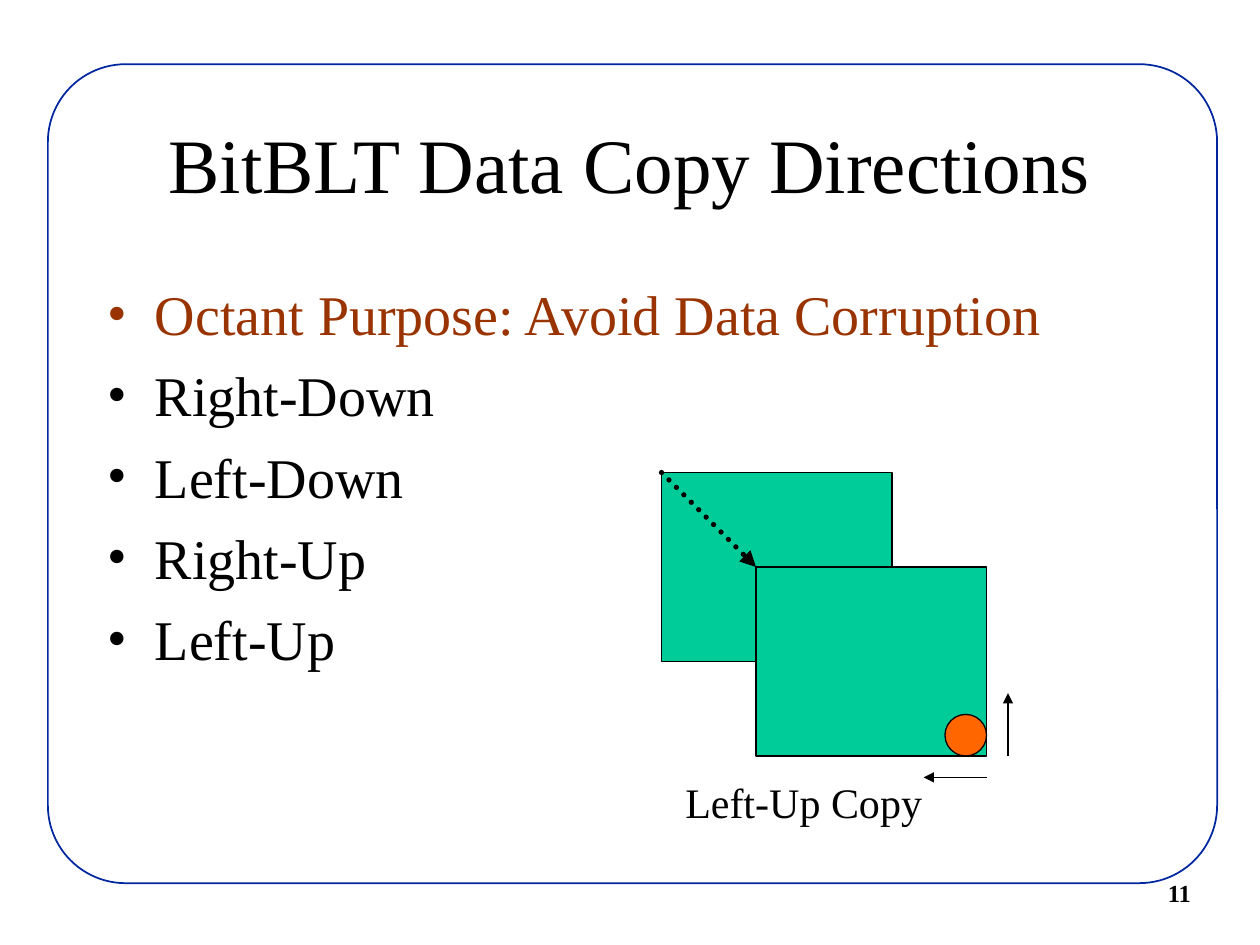
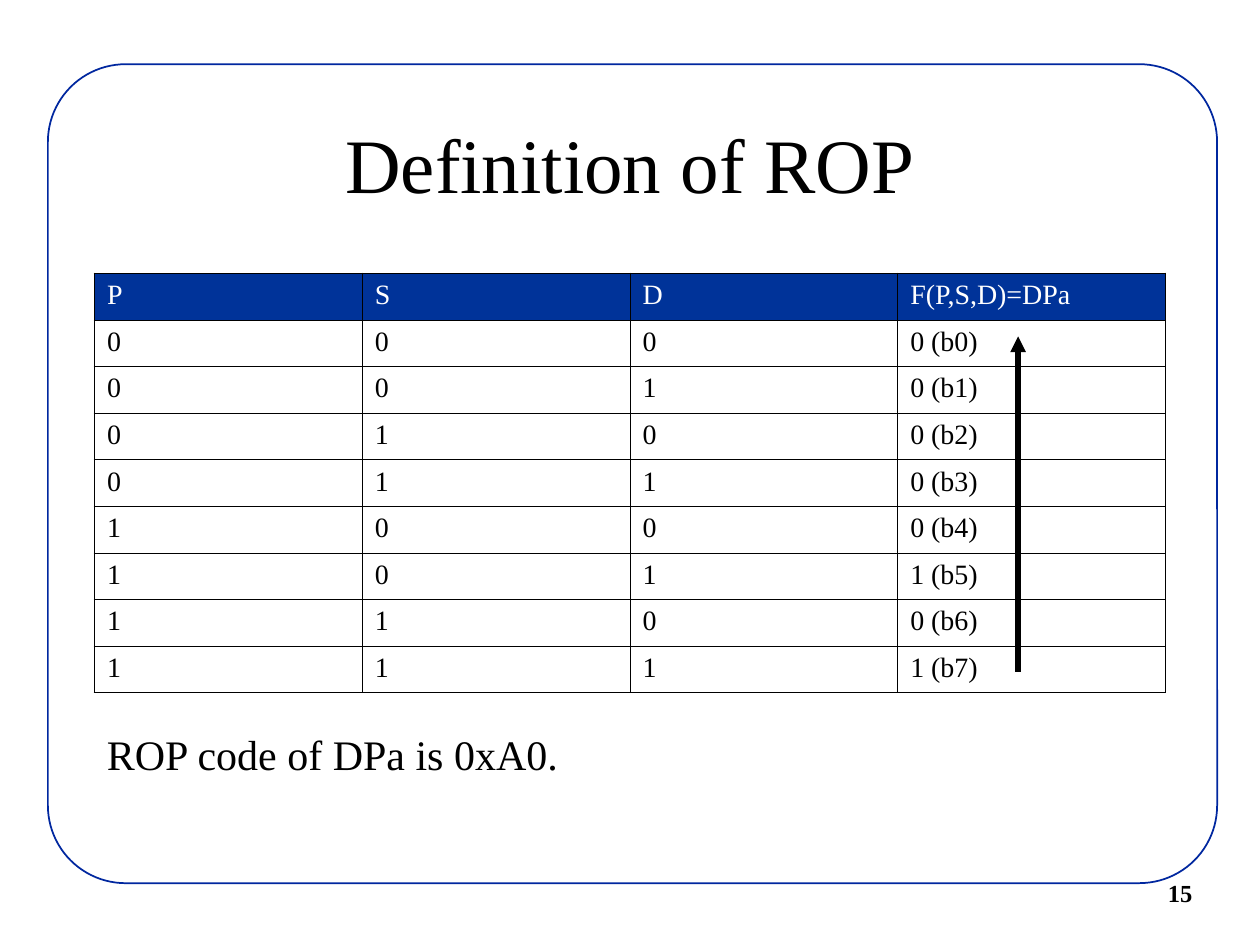
"""Build two slides on BitBLT copy directions and the definition of ROP."""
from lxml.etree import SubElement
from pptx import Presentation
from pptx.dml.color import RGBColor
from pptx.enum.dml import MSO_LINE
from pptx.enum.shapes import MSO_CONNECTOR, MSO_SHAPE
from pptx.enum.text import MSO_ANCHOR, MSO_AUTO_SIZE as AutoSize, PP_ALIGN
from pptx.oxml.ns import qn
from pptx.util import Inches, Pt

FONT = "Times New Roman"
BLACK, WHITE = "000000", "FFFFFF"
FRAME_BLUE, HEADER_BLUE = "00279F", "003399"
GREEN, ORANGE, RUST = "00CC99", "FF6600", "993300"
THIN, THICK = 0.75, 3

DIRECTIONS = ["Right-Down", "Left-Down", "Right-Up", "Left-Up"]


def rgb(color):
    return RGBColor.from_string(color)


def box(left, top, width, height):
    return [Inches(length) for length in (left, top, width, height)]


def place(shape, left, top, width, height):
    shape.left, shape.top, shape.width, shape.height = box(left, top, width, height)


def style_paragraph(paragraph, size, color=BLACK, bold=False):
    font = paragraph.font
    font.name, font.size, font.bold = FONT, Pt(size), bold
    font.color.rgb = rgb(color)


def add_outlined(shapes, preset, bounds, fill, line, width=THIN):
    shape = shapes.add_shape(preset, *box(*bounds))
    shape.shadow.inherit = False
    shape.fill.solid()
    shape.fill.fore_color.rgb = rgb(fill)
    shape.line.color.rgb = rgb(line)
    shape.line.width = Pt(width)
    return shape


def add_arrow(shapes, start, end, width=THIN, dotted=False):
    ends = [Inches(length) for length in (*start, *end)]
    arrow = shapes.add_connector(MSO_CONNECTOR.STRAIGHT, *ends)
    arrow.line.color.rgb = rgb(BLACK)
    arrow.line.width = Pt(width)
    outline = arrow.line._get_or_add_ln()
    if dotted:
        arrow.line.dash_style = MSO_LINE.ROUND_DOT
        outline.set("cap", "rnd")
    SubElement(outline, qn("a:tailEnd"), type="triangle")
    SubElement(arrow.element.spPr, qn("a:effectLst"))


def add_label(shapes, text, bounds, size, bold=False):
    frame = shapes.add_textbox(*box(*bounds)).text_frame
    frame.word_wrap = False
    frame.auto_size = AutoSize.SHAPE_TO_FIT_TEXT
    frame.text = text
    style_paragraph(frame.paragraphs[0], size, bold=bold)


def add_framed_slide(deck, layout, title, number):
    slide = deck.slides.add_slide(deck.slide_layouts.get_by_name(layout))
    border = add_outlined(slide.shapes, MSO_SHAPE.ROUNDED_RECTANGLE,
                          (0.38, 0.51, 9.28, 6.5), WHITE, FRAME_BLUE, 1)
    border.adjustments[0] = 0.095
    border.element.getparent().insert(2, border.element)

    heading = slide.shapes.title
    place(heading, 0.75, 0.67, 8.5, 1.25)
    heading.text_frame.text = title
    heading.text_frame.auto_size = AutoSize.NONE
    heading.text_frame.vertical_anchor = MSO_ANCHOR.MIDDLE
    heading.text_frame.paragraphs[0].alignment = PP_ALIGN.CENTER
    style_paragraph(heading.text_frame.paragraphs[0], 44)

    add_label(slide.shapes, str(number), (9.17, 6.92, 1.08, 0.33), 14, bold=True)
    return slide


def fill_bullets(body, items):
    place(body, 0.75, 2.17, 8.5, 4.5)
    frame = body.text_frame
    frame.auto_size = AutoSize.NONE
    frame.text = "\n".join(text for text, _ in items)
    for index, (paragraph, (_, color)) in enumerate(zip(frame.paragraphs, items)):
        paragraph.space_before = Pt(8 if index else 0)
        props = paragraph._p.get_or_add_pPr()
        props.set("marL", str(Inches(0.38)))
        props.set("indent", str(Inches(-0.38)))
        bullet_color = SubElement(props, qn("a:buClr"))
        SubElement(bullet_color, qn("a:srgbClr"), val=color)
        SubElement(props, qn("a:buFont"), typeface=FONT)
        SubElement(props, qn("a:buChar"), char="•")
        style_paragraph(paragraph, 32, color)


def add_copy_diagram(slide):
    diagram = slide.shapes.add_group_shape().shapes
    source, target = (5.25, 3.75), (6, 4.5)
    for corner in (source, target):
        add_outlined(diagram, MSO_SHAPE.RECTANGLE, (*corner, 1.83, 1.5), GREEN, BLACK)
    add_arrow(diagram, source, target, THICK, dotted=True)
    add_label(diagram, "Left-Up Copy", (5.34, 6.11, 2.08, 0.5), 24)
    add_arrow(diagram, (7.83, 6.17), (7.33, 6.17))
    add_arrow(diagram, (8, 6), (8, 5.5))
    add_outlined(diagram, MSO_SHAPE.OVAL, (7.5, 5.67, 0.33, 0.33), ORANGE, BLACK)


def set_borders(cell, outer_sides):
    props = cell._tc.get_or_add_tcPr()
    for index, side in enumerate("LRTB"):
        width = Pt(1.08 if side in outer_sides else 0.45)
        border = props.makeelement(qn(f"a:ln{side}"), {"w": str(width)})
        fill = SubElement(border, qn("a:solidFill"))
        SubElement(fill, qn("a:srgbClr"), val=BLACK)
        props.insert(index, border)


def truth_rows():
    yield "P", "S", "D", "F(P,S,D)=DPa"
    for code in range(8):
        p, s, d = code >> 2, code >> 1 & 1, code & 1
        yield str(p), str(s), str(d), f"{p & d} (b{code})"


def add_truth_table(slide):
    rows = list(truth_rows())
    last_row, last_column = len(rows) - 1, len(rows[0]) - 1
    table = slide.shapes.add_table(len(rows), len(rows[0]),
                                   *box(0.75, 2.17, 8.5, 3.33)).table
    table.first_row = table.horz_banding = False
    for r, values in enumerate(rows):
        for c, value in enumerate(values):
            cell = table.cell(r, c)
            cell.text = value
            style_paragraph(cell.text_frame.paragraphs[0], 16, BLACK if r else WHITE)
            if r:
                cell.fill.background()
            else:
                cell.fill.solid()
                cell.fill.fore_color.rgb = rgb(HEADER_BLUE)
            edges = {"L": c == 0, "R": c == last_column,
                     "T": r == 0, "B": r == last_row}
            set_borders(cell, [side for side, outer in edges.items() if outer])


def main():
    deck = Presentation()
    deck.slide_width, deck.slide_height = Inches(10), Inches(7.5)

    directions = add_framed_slide(deck, "Title and Content",
                                  "BitBLT Data Copy Directions", 11)
    purpose = ("Octant Purpose: Avoid Data Corruption", RUST)
    fill_bullets(directions.placeholders[1],
                 [purpose] + [(name, BLACK) for name in DIRECTIONS])
    add_copy_diagram(directions)

    definition = add_framed_slide(deck, "Title Only", "Definition of ROP", 15)
    add_truth_table(definition)
    add_arrow(definition.shapes, (8.08, 5.33), (8.08, 2.67), THICK)
    add_label(definition.shapes, "ROP code of DPa is 0xA0.",
              (0.75, 5.73, 3.79, 0.5), 24)

    deck.save("out.pptx")


if __name__ == "__main__":
    main()
